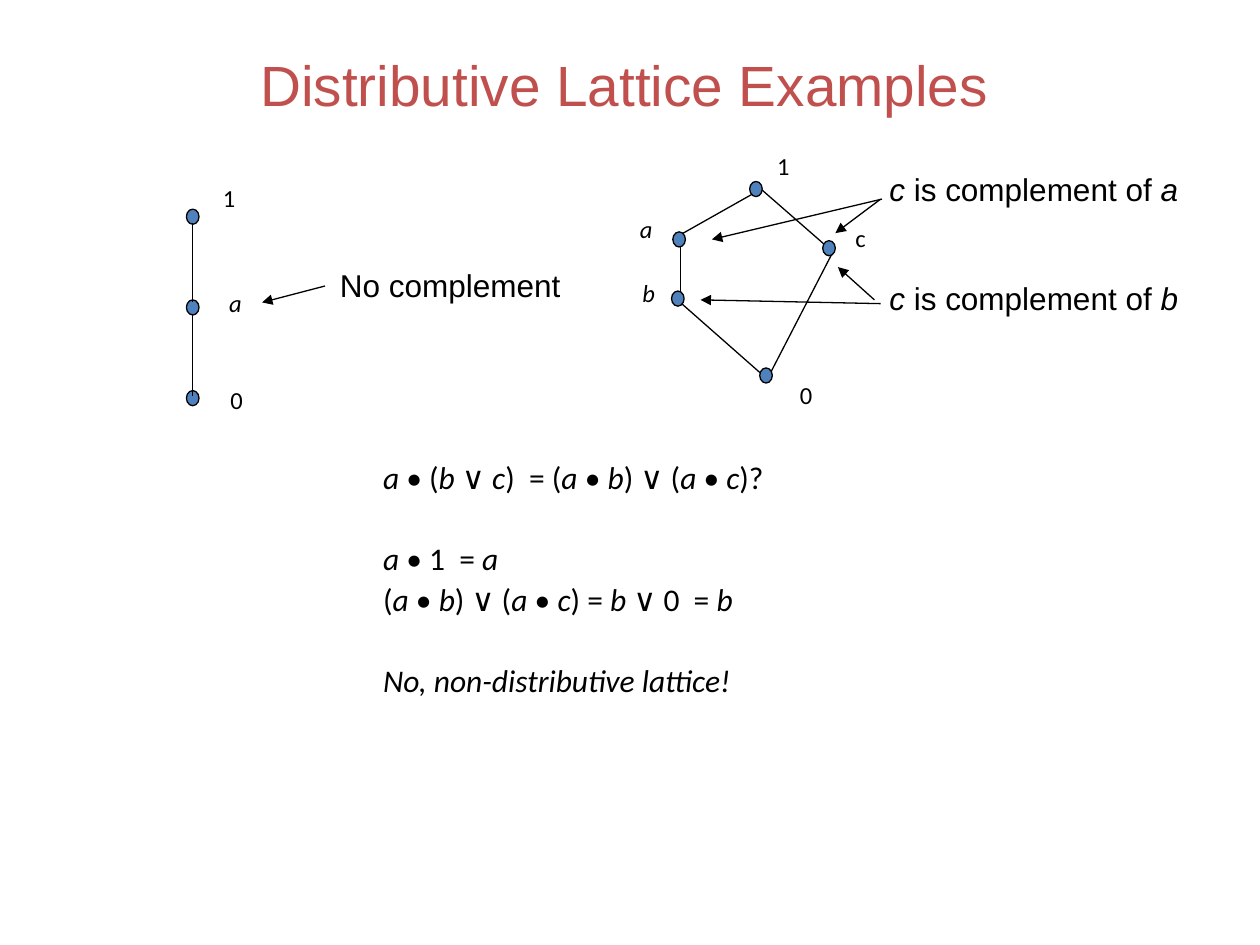
from lxml.etree import SubElement
from pptx import Presentation
from pptx.dml.color import RGBColor
from pptx.enum.shapes import MSO_CONNECTOR, MSO_SHAPE
from pptx.enum.text import MSO_ANCHOR, MSO_AUTO_SIZE, PP_ALIGN
from pptx.oxml.ns import qn
from pptx.util import Inches, Pt

COLORS = {"title": "C0504D", "ink": "000000", "node": "4F81BD"}
COLUMNS, ROWS = 100, 75


def write_text(frame, lines, font="Calibri", size=18, color="ink", align=None,
               spacing=None, before=(), indent=None):
    for index, line in enumerate(lines):
        paragraph = frame.paragraphs[0] if index == 0 else frame.add_paragraph()
        paragraph.alignment = align
        paragraph.line_spacing = spacing
        if before:
            paragraph.space_before = Pt(before[index])
        if indent is not None:
            properties = paragraph._p.get_or_add_pPr()
            properties.set("marL", str(indent))
            properties.set("indent", "0")
            SubElement(properties, qn("a:buNone"))
        for part, words in enumerate(line.split("*")):
            if words:
                run = paragraph.add_run()
                run.text = words
                run.font.name = font
                run.font.size = Pt(size)
                run.font.italic = part % 2 == 1
                run.font.color.rgb = RGBColor.from_string(COLORS[color])


class LatticeSlide:
    line_width = Pt(0.75)
    node_size = (1, 1.2)

    def __init__(self, presentation):
        self.slide = presentation.slides.add_slide(presentation.slide_layouts[1])
        self.column = presentation.slide_width / COLUMNS
        self.row = presentation.slide_height / ROWS

    def grid(self, *lengths):
        units = (self.column, self.row)
        return [round(length * units[index % 2]) for index, length in enumerate(lengths)]

    def placeholder(self, index, place, lines, anchor, **style):
        shape = self.slide.placeholders[index]
        shape.left, shape.top, shape.width, shape.height = self.grid(*place)
        shape.text_frame.auto_size = MSO_AUTO_SIZE.NONE
        shape.text_frame.vertical_anchor = anchor
        write_text(shape.text_frame, lines, **style)

    def text(self, place, lines, wrap=True, **style):
        frame = self.slide.shapes.add_textbox(*self.grid(*place)).text_frame
        frame.word_wrap = wrap
        frame.auto_size = MSO_AUTO_SIZE.SHAPE_TO_FIT_TEXT
        write_text(frame, lines, **style)

    def node(self, left, top):
        shape = self.slide.shapes.add_shape(
            MSO_SHAPE.OVAL, *self.grid(left, top, *self.node_size))
        shape.shadow.inherit = False
        shape.fill.solid()
        shape.fill.fore_color.rgb = RGBColor.from_string(COLORS["node"])
        self.outline(shape)

    def line(self, ends, arrow=False):
        connector = self.slide.shapes.add_connector(
            MSO_CONNECTOR.STRAIGHT, *self.grid(*ends))
        self.outline(connector)
        if arrow:
            SubElement(connector.line._get_or_add_ln(), qn("a:tailEnd"), type="triangle")
        SubElement(connector._element.spPr, qn("a:effectLst"))

    def outline(self, shape):
        shape.line.color.rgb = RGBColor.from_string(COLORS["ink"])
        shape.line.width = self.line_width


CHAIN_NODES = [(14.8, top) for top in (16.6, 23.8, 31)]
PENTAGON_NODES = [(59.5, 14.4), (65.3, 19.1), (53.4, 18.4), (53.3, 23.1), (60.3, 29.2)]
EDGES = [
    (15.3, 17.7, 15.3, 24), (15.3, 24.9, 15.3, 31.4),
    (66, 20.2, 61.2, 29.5), (60.5, 15.1, 66, 19.9), (59.9, 15.3, 53.7, 18.8),
    (54, 23.6, 54, 19.3), (54.1, 24.1, 60.8, 30),
]
ARROWS = [
    (25.8, 22.7, 20.8, 24), (70, 15.8, 56.5, 19), (69.9, 15.8, 66.3, 18.5),
    (69.4, 23.8, 66.5, 21.2), (69.9, 24.1, 55.6, 23.8),
]
NODE_LABELS = [
    ("1", 16.7, 14), ("*a*", 17.2, 22.4), ("0", 17.3, 30.1),
    ("1", 60.7, 11.5), ("*a*", 49.8, 16.5), ("c", 66.9, 17.2),
    ("*b*", 50, 21.6), ("0", 62.5, 29.7),
]
PROOF = [
    "*a *• (*b* ∨ *c*)  = (*a *• *b*) ∨ (*a *• *c*)?",
    "*a *• 1  = *a*",
    "(*a *• *b*) ∨ (*a *• *c*) = *b* ∨ 0  = *b*",
    "*No, non-distributive lattice!*",
]

presentation = Presentation()
presentation.slide_width, presentation.slide_height = Inches(10), Inches(7.5)
lattice = LatticeSlide(presentation)

lattice.placeholder(0, (13.3, 3.3, 72.5, 6.7), ["Distributive Lattice Examples"],
                    MSO_ANCHOR.MIDDLE, font="Arial", size=32.4, color="title",
                    align=PP_ALIGN.CENTER)
lattice.placeholder(1, (5.7, 36.2, 90.9, 28.4), PROOF, MSO_ANCHOR.TOP,
                    spacing=0.9, before=(3.6, 27, 3.6, 27), indent=Inches(2.37))

for node in CHAIN_NODES:
    lattice.node(*node)
for edge in EDGES:
    lattice.line(edge)
for node in PENTAGON_NODES:
    lattice.node(*node)
for label, left, top in NODE_LABELS:
    lattice.text((left, top, 3, 3.3), [label], wrap=False, size=14)

lattice.text((26, 20.6, 20.6, 4), ["No complement"], font="Arial")
lattice.text((69.6, 13, 25, 13),
             ["*c* is complement of *a*", "*c* is complement of *b*"],
             font="Arial", before=(0, 41))
for arrow in ARROWS:
    lattice.line(arrow, arrow=True)

presentation.save("out.pptx")
